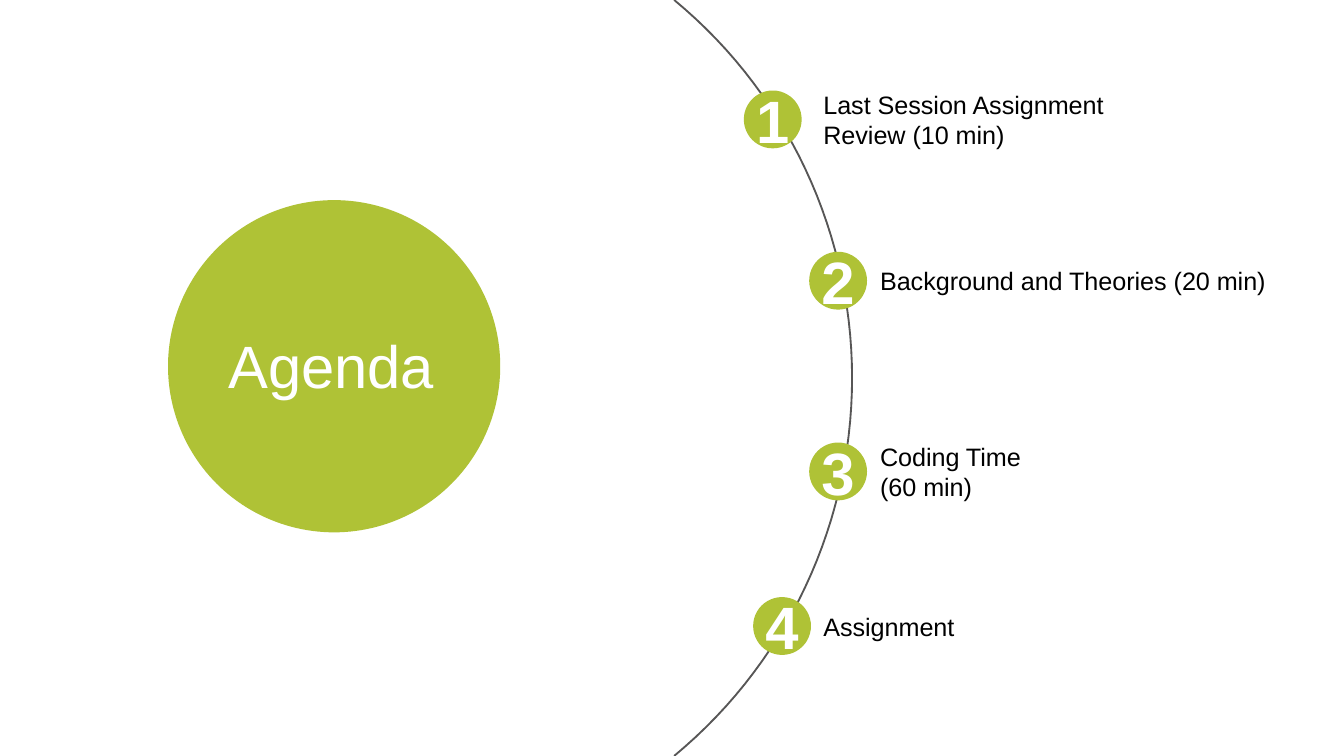
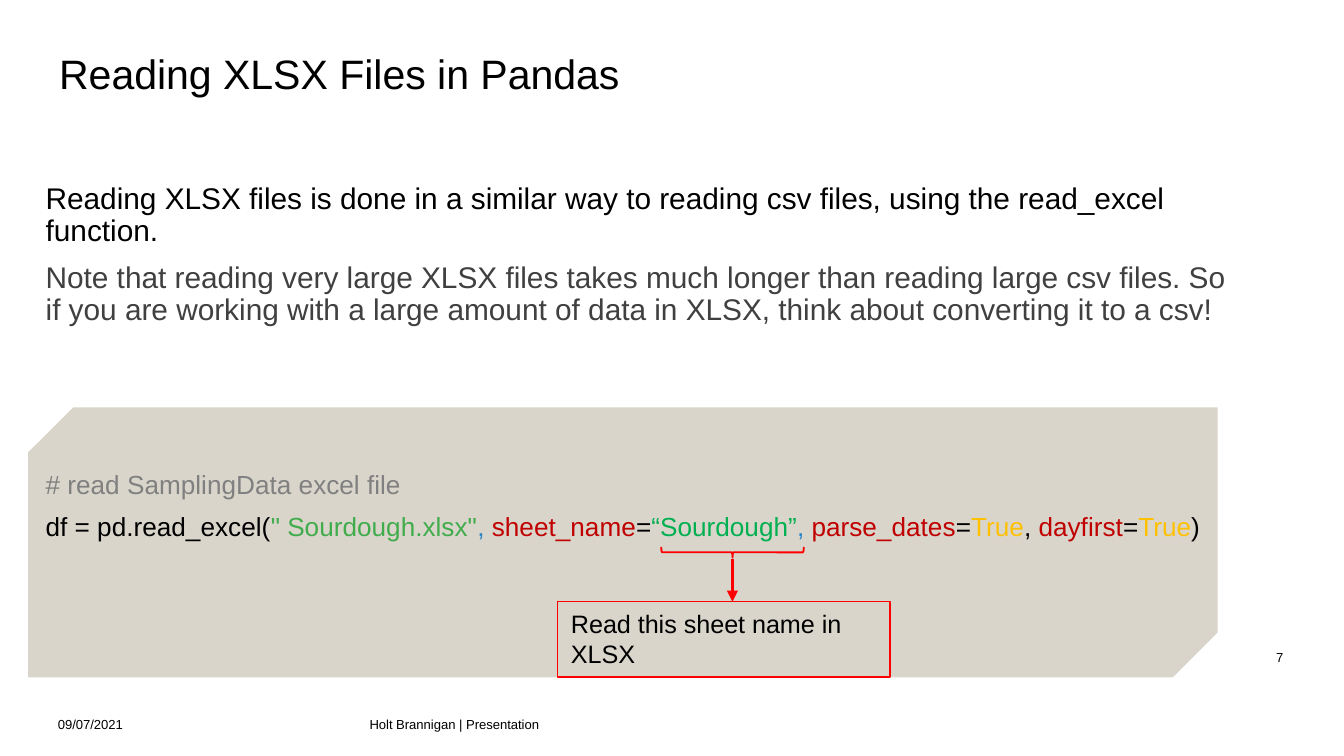
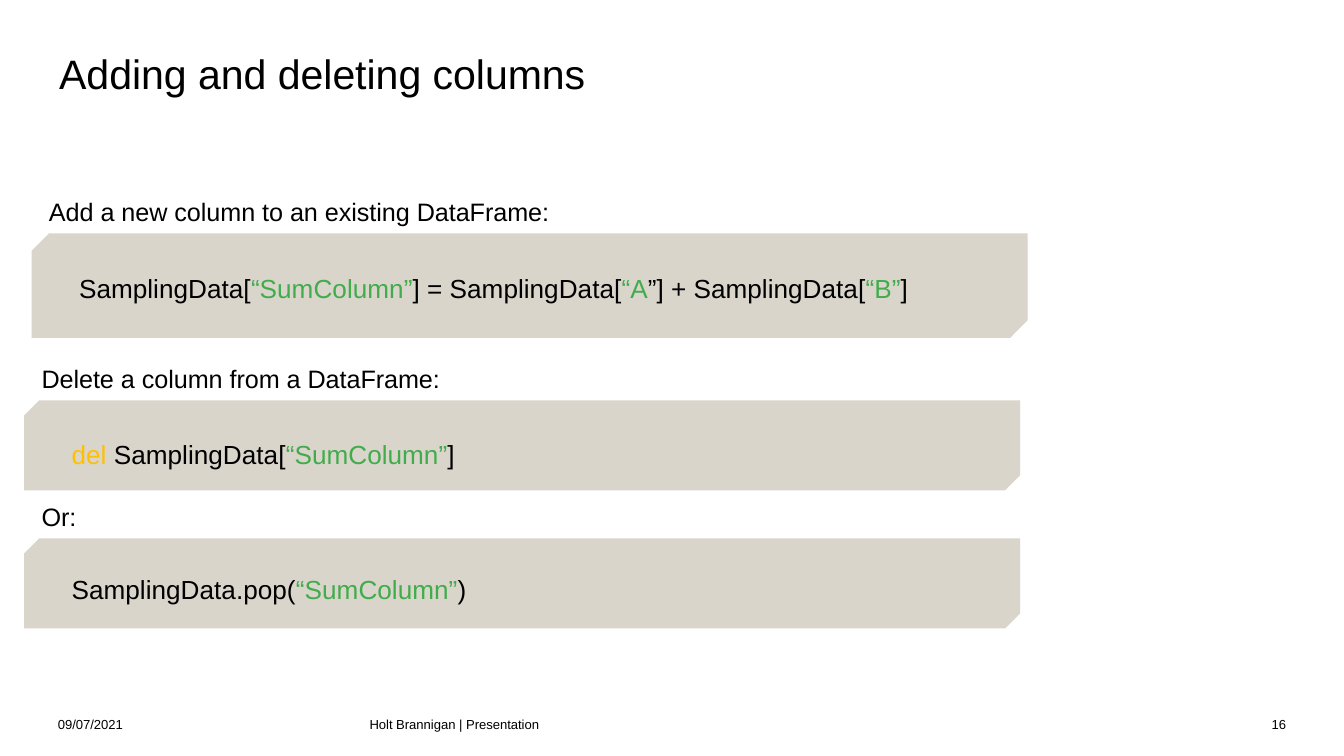
from math import asin, cos, sin

from lxml.etree import SubElement
from pptx import Presentation
from pptx.dml.color import RGBColor
from pptx.enum.shapes import MSO_CONNECTOR, MSO_SHAPE
from pptx.enum.text import MSO_ANCHOR, MSO_AUTO_SIZE, PP_ALIGN
from pptx.oxml.ns import qn
from pptx.util import Pt

rgb = RGBColor.from_string

FONT = "Arial"
LIME, WHITE, BLACK, RED = "AFC236", "FFFFFF", "000000", "FF0000"
SAND, ARC_GREY, NOTE_GREY, COMMENT_GREY = "D9D5CB", "575656", "414040", "808080"
STRING_GREEN, SHEET_GREEN, COMMA_BLUE = "41AC4C", "00B050", "2B86C7"
ARGUMENT_RED, KEYWORD_GOLD = "C00000", "FFC000"

NO_MARGINS = (0, 0, 0, 0)
TEXT_MARGINS = (7.2, 3.6, 7.2, 3.6)
BODY_MARGINS = (0, 3.6, 0, 3.6)
TITLE_MARGINS = (0, 3.6, 7.2, 3.6)


def draw(shapes, kind, box, fill=None, line=None, width=1, rotation=0):
    """Add a preset shape; box is what is seen, also after a quarter turn."""
    left, top, wide, high = box
    if rotation == 90:
        shift = (wide - high) / 2
        left, top, wide, high = left + shift, top - shift, high, wide
    shape = shapes.add_shape(kind, Pt(left), Pt(top), Pt(wide), Pt(high))
    shape.rotation = rotation
    shape.shadow.inherit = False
    if fill:
        shape.fill.solid()
        shape.fill.fore_color.rgb = rgb(fill)
    else:
        shape.fill.background()
    if line:
        shape.line.color.rgb = rgb(line)
        shape.line.width = Pt(width)
    else:
        shape.line.fill.background()
    return shape


def write(shape, paragraphs, size, color=BLACK, margins=TEXT_MARGINS,
          anchor=MSO_ANCHOR.TOP, bold=False, **formats):
    """Fill a shape with paragraphs, each a list of (text, colour) runs or a string."""
    frame = shape.text_frame
    frame.word_wrap = True
    frame.auto_size = MSO_AUTO_SIZE.NONE
    frame.vertical_anchor = anchor
    for side, margin in zip(("left", "top", "right", "bottom"), margins):
        setattr(frame, f"margin_{side}", Pt(margin))
    for index, runs in enumerate(paragraphs):
        paragraph = frame.add_paragraph() if index else frame.paragraphs[0]
        for name, value in {"alignment": PP_ALIGN.LEFT, **formats}.items():
            setattr(paragraph, name, value)
        for text, run_color in [(runs, color)] if isinstance(runs, str) else runs:
            run = paragraph.add_run()
            run.text = text
            run.font.color.rgb = rgb(run_color)
            for name, value in {"name": FONT, "size": Pt(size), "bold": bold}.items():
                setattr(run.font, name, value)
    return frame


presentation = Presentation()
presentation.slide_width, presentation.slide_height = Pt(720), Pt(405)
title_only, blank = presentation.slide_layouts[5], presentation.slide_layouts[6]

# Agenda
agenda = presentation.slides.add_slide(blank)

radius, center_x, center_y = 262.8, 193.7, 202.5
half_angle = asin(center_y / radius)
angles = [half_angle * step / 30 for step in range(-30, 31)]
points = [(Pt(center_x + radius * cos(angle)), Pt(center_y + radius * sin(angle)))
          for angle in angles]
builder = agenda.shapes.build_freeform(*points[0])
builder.add_line_segments(points[1:], close=False)
arc = builder.convert_to_shape()
arc.shadow.inherit = False
arc.fill.background()
arc.line.color.rgb = rgb(ARC_GREY)
arc.line.width = Pt(1)

group = agenda.shapes.add_group_shape()
draw(group.shapes, MSO_SHAPE.OVAL, (90, 107.2, 178, 178), LIME)
heading = draw(group.shapes, MSO_SHAPE.RECTANGLE, (119.5, 174.2, 116, 42.5), LIME)
write(heading, ["Agenda"], 32, WHITE, (2, 2, 2, 2), MSO_ANCHOR.MIDDLE,
      alignment=PP_ALIGN.CENTER)

agenda_items = [
    (399, 49, (434, 44, 178, 40), ["Last Session Assignment Review (10 min)"]),
    (434, 135.4, (464.4, 138.4, 229, 24), ["Background and Theories (20 min)"]),
    (434, 237.6, (464.4, 232.6, 148, 40), ["Coding Time", "(60 min)"]),
    (404, 320.4, (434, 323.6, 184, 24), ["Assignment"]),
]
for number, (left, top, label_box, lines) in enumerate(agenda_items, 1):
    disc = draw(agenda.shapes, MSO_SHAPE.OVAL, (left, top, 30, 30), LIME, LIME)
    write(disc, [str(number)], 32, WHITE, NO_MARGINS, MSO_ANCHOR.MIDDLE, bold=True,
          alignment=PP_ALIGN.CENTER)
    label = agenda.shapes.add_textbox(*map(Pt, label_box))
    write(label, lines, 13.5, anchor=MSO_ANCHOR.MIDDLE)

# Titles and footers of the two content slides
content_slides = []
for title_text, page, page_left, page_top in [
    ("Reading XLSX Files in Pandas", "7", 529.2, 347.8),
    ("Adding and deleting columns", "16", 530.6, 383.8),
]:
    slide = presentation.slides.add_slide(title_only)
    content_slides.append(slide)
    title = slide.shapes.title
    title.left, title.top, title.width, title.height = map(Pt, (31.7, 25.2, 620.6, 28.8))
    write(title, [title_text], 22, margins=TITLE_MARGINS, line_spacing=0.9)
    for left, top, width, text, alignment in [
        (31, 383.8, 158.4, "09/07/2021", PP_ALIGN.LEFT),
        (198, 383.8, 324, "Holt Brannigan | Presentation", PP_ALIGN.LEFT),
        (page_left, page_top, 158.4, page, PP_ALIGN.RIGHT),
    ]:
        footer = slide.shapes.add_textbox(Pt(left), Pt(top), Pt(width), Pt(8))
        write(footer, [text], 7, margins=NO_MARGINS, alignment=alignment)
reading, columns = content_slides

# Reading files
draw(reading.shapes, MSO_SHAPE.SNIP_2_DIAG_RECTANGLE, (15.1, 218.2, 637.2, 144.7),
     SAND, rotation=90)
body = reading.shapes.add_textbox(Pt(24.5), Pt(95), Pt(635.8), Pt(267.8))
frame = write(body, [
    "Reading XLSX files is done in a similar way to reading csv files, "
    "using the read_excel function.",
    [("Note that reading very large XLSX files takes much longer than reading large "
      "csv files. So if you are working with a large amount of data in XLSX, think "
      "about converting it to a csv!", NOTE_GREY)],
    [("# read SamplingData excel file", COMMENT_GREY)],
    [("df = pd.read_excel(", BLACK), ("\" Sourdough.xlsx\"", STRING_GREEN),
     (", ", COMMA_BLUE), ("sheet_name", ARGUMENT_RED), ("=", BLACK),
     ("“Sourdough”", SHEET_GREEN), (", ", COMMA_BLUE),
     ("parse_dates", ARGUMENT_RED), ("=", BLACK), ("True", KEYWORD_GOLD),
     (", ", BLACK), ("dayfirst", ARGUMENT_RED), ("=", BLACK),
     ("True", KEYWORD_GOLD), (")", BLACK)],
], 16, margins=BODY_MARGINS, line_spacing=0.9)
for paragraph, space in zip(frame.paragraphs, (0, 7.5, 77.5, 7.5)):
    paragraph.space_before = Pt(space)
for paragraph in frame.paragraphs[2:]:
    for run in paragraph.runs:
        run.font.size = Pt(14)

callout = draw(reading.shapes, MSO_SHAPE.RECTANGLE, (298.8, 322.4, 178, 40.3),
               line=RED, width=0.75)
write(callout, ["Read this sheet name in XLSX"], 13.5)
draw(reading.shapes, MSO_SHAPE.RIGHT_BRACE, (354.2, 293, 76.4, 5.8), line=RED,
     rotation=90)
arrow = reading.shapes.add_connector(MSO_CONNECTOR.STRAIGHT, Pt(392.4), Pt(299.5),
                                     Pt(392.4), Pt(322.4))
arrow.line.color.rgb = rgb(RED)
arrow.line.width = Pt(1.5)
SubElement(arrow.line._get_or_add_ln(), qn("a:tailEnd"), type="triangle")
SubElement(arrow._element.spPr, qn("a:effectLst"))

# Adding and deleting columns
sum_column = ("“SumColumn”", STRING_GREEN)
code_blocks = [
    (17, 125, 56, 134, "Add a new column to an existing DataFrame:",
     [("SamplingData[", BLACK), sum_column, ("] = SamplingData[", BLACK),
      ("“A", STRING_GREEN), ("”] + SamplingData[", BLACK),
      ("“B”", STRING_GREEN), ("]", BLACK)]),
    (13, 214.5, 48.2, 223.2, "Delete a column from a DataFrame:",
     [("del ", KEYWORD_GOLD), ("SamplingData[", BLACK), sum_column, ("]", BLACK)]),
    (13, 288.5, 48.2, 295.2, "Or:",
     [("SamplingData.pop(", BLACK), sum_column, (")", BLACK)]),
]
for left, top, height, code_top, caption, code_runs in code_blocks:
    draw(columns.shapes, MSO_SHAPE.SNIP_2_DIAG_RECTANGLE, (left, top, 533.5, height),
         SAND, rotation=90)
    label = columns.shapes.add_textbox(Pt(left + 2.2), Pt(top - 23.6), Pt(304.6), Pt(24))
    write(label, [caption], 13.5)
    code = columns.shapes.add_textbox(Pt(left + 25.4), Pt(code_top), Pt(488), Pt(102))
    write(code, [code_runs], 14, margins=BODY_MARGINS, line_spacing=1.5)

presentation.save("out.pptx")
